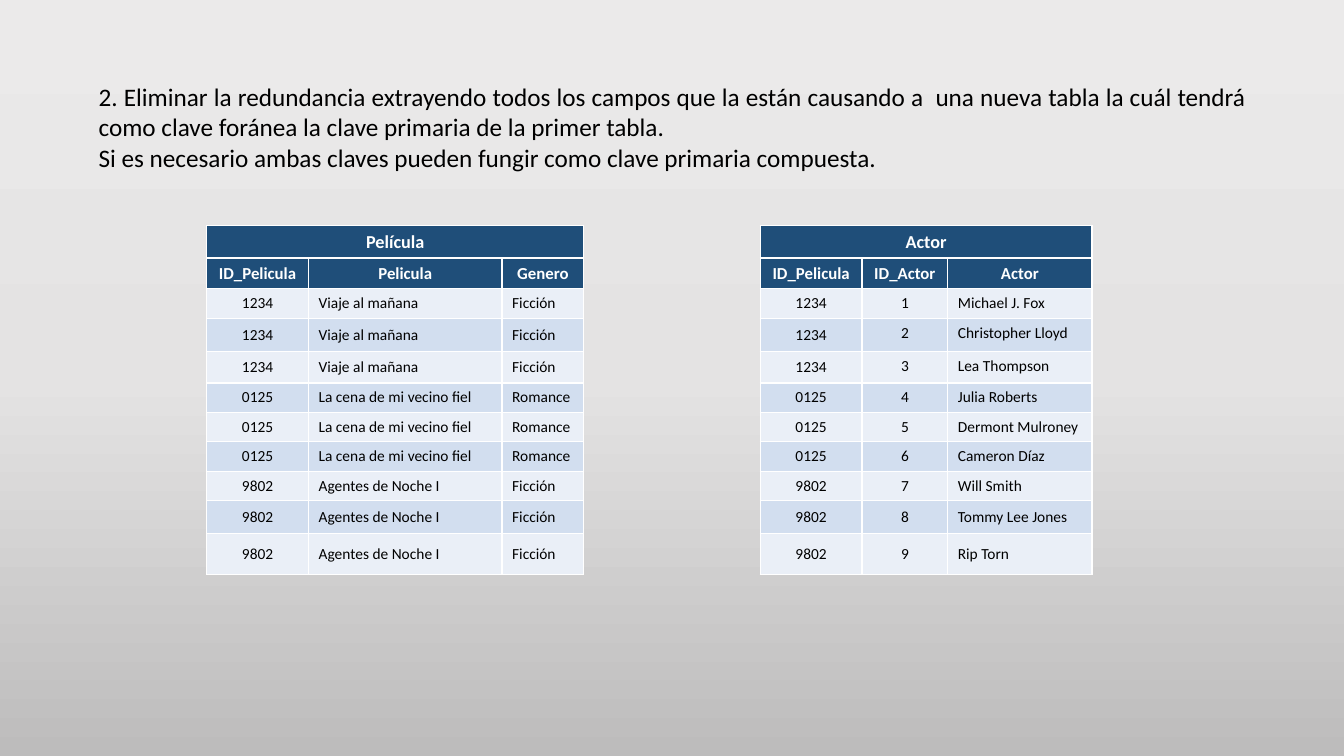
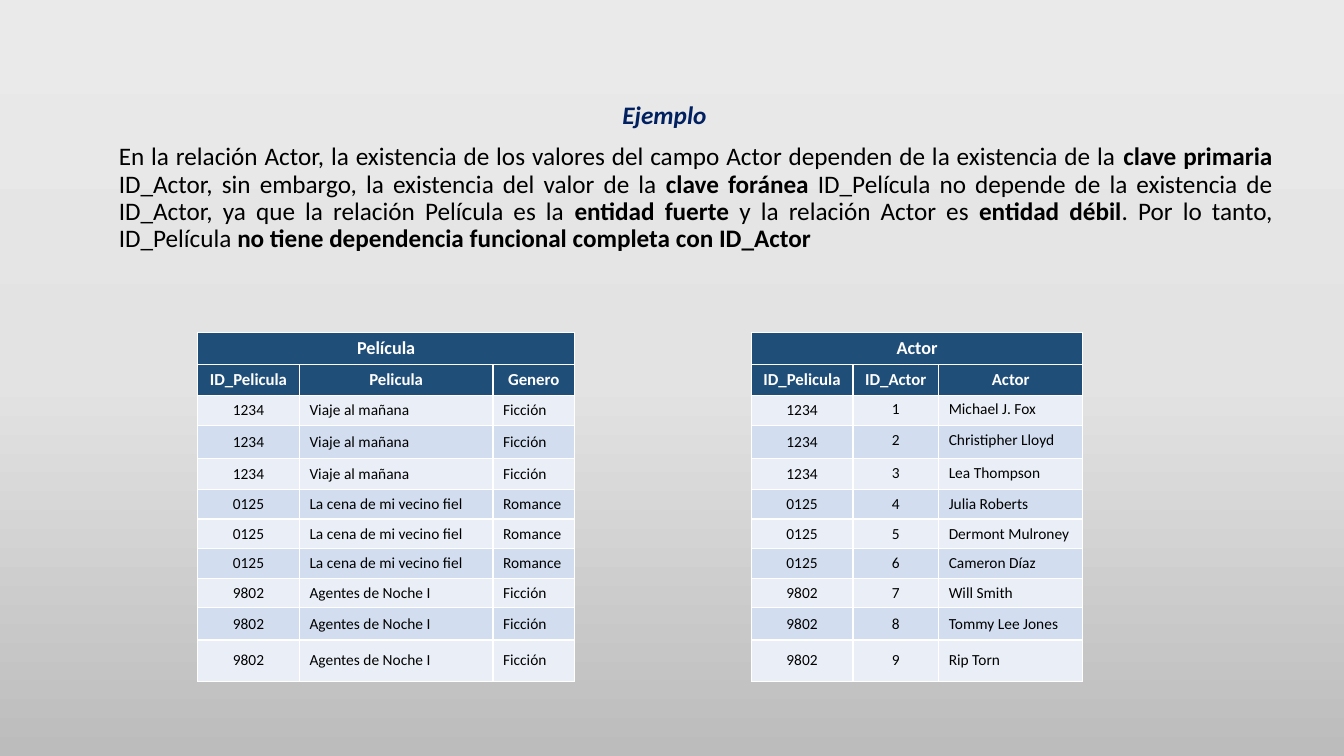
from copy import deepcopy
from dataclasses import dataclass

from lxml import etree
from pptx import Presentation
from pptx.dml.color import RGBColor
from pptx.enum.text import MSO_ANCHOR, MSO_AUTO_SIZE, PP_ALIGN
from pptx.oxml.ns import qn
from pptx.util import Inches, Pt

CENTER, LEFT, JUSTIFY = PP_ALIGN.CENTER, PP_ALIGN.LEFT, PP_ALIGN.JUSTIFY
TOP, MIDDLE = MSO_ANCHOR.TOP, MSO_ANCHOR.MIDDLE
NO_AUTOFIT = MSO_AUTO_SIZE.NONE
TITLE_ONLY, BLANK = 5, 6


@dataclass(frozen=True)
class Theme:
    font: str = "Calibri"
    text: str = "000000"
    title: str = "002060"
    header: str = "1F4E79"
    header_text: str = "FFFFFF"
    border: str = "FFFFFF"
    bands: tuple = ("EAEFF7", "D2DEEF")
    background: tuple = ((0, "EBEAEA"), (0.5, "E4E3E3"), (1, "BDBCBC"))
    body_size: int = 18
    caption_size: int = 13
    header_size: int = 12
    cell_size: int = 11
    border_width: int = 1
    tight_lines: float = 0.9


THEME = Theme()

ROW_HEIGHTS = (0.32, 0.3, 0.3, 0.33, 0.31, 0.29, 0.29, 0.3, 0.29, 0.32, 0.41)
TABLE_STEP = 5.49
MOVIES = (
    ("1234", "Viaje al mañana", "Ficción"),
    ("0125", "La cena de mi vecino fiel", "Romance"),
    ("9802", "Agentes de Noche I", "Ficción"),
)
ACTORS_PER_MOVIE = 3
MOVIE_HEADERS = ("ID_Pelicula", "Pelicula", "Genero")
MOVIE_WIDTHS = (1.01, 1.92, 0.81)
ACTOR_HEADERS = ("ID_Pelicula", "ID_Actor", "Actor")
ACTOR_WIDTHS = (1.01, 0.85, 1.43)
ACTORS = (
    "Michael J. Fox", "Christopher Lloyd", "Lea Thompson",
    "Julia Roberts", "Dermont Mulroney", "Cameron Díaz",
    "Will Smith", "Tommy Lee Jones", "Rip Torn",
)
# The second slide spells this actor differently.
EXAMPLE_ACTORS = (ACTORS[0], "Christipher Lloyd", *ACTORS[2:])

STEP_TEXT = (
    "2. Eliminar la redundancia extrayendo todos los campos que la están causando a  una "
    "nueva tabla la cuál tendrá como clave foránea la clave primaria de la primer tabla.",
    "Si es necesario ambas claves pueden fungir como clave primaria compuesta.",
)
EXAMPLE_RUNS = (
    ("En la relación Actor, la existencia de los valores del campo Actor dependen de la "
     "existencia de la ", False),
    ("clave primaria ", True),
    ("ID_Actor, sin embargo, la existencia del valor de la ", False),
    ("clave foránea ", True),
    ("ID_Película no depende de la existencia de ID_Actor, ya que la relación Película "
     "es la ", False),
    ("entidad fuerte ", True),
    ("y la relación Actor es ", False),
    ("entidad débil", True),
    (". Por lo tanto, ID_Película ", False),
    ("no tiene dependencia funcional completa con ID_Actor", True),
)


def set_background(master):
    fill = master.background.fill
    fill.gradient()
    fill.gradient_angle = 270
    stops = master.element.xpath("p:cSld/p:bg//a:gsLst")[0]
    stops.append(deepcopy(stops[0]))
    for stop, (position, color) in zip(fill.gradient_stops, THEME.background):
        stop.position = position
        stop.color.rgb = RGBColor.from_string(color)


def add_run(paragraph, text, size, color=THEME.text, bold=False, italic=False):
    run = paragraph.add_run()
    run.text = text
    font = run.font
    font.name, font.size = THEME.font, Pt(size)
    font.bold, font.italic = bold, italic
    font.color.rgb = RGBColor.from_string(color)


def add_text(slide, box, paragraphs, line_spacing=1.0):
    """Add justified paragraphs, each a sequence of (text, bold) runs."""
    frame = slide.shapes.add_textbox(*map(Inches, box)).text_frame
    frame.word_wrap = True
    for index, runs in enumerate(paragraphs):
        paragraph = frame.add_paragraph() if index else frame.paragraphs[0]
        paragraph.alignment = JUSTIFY
        paragraph.line_spacing = line_spacing
        for text, bold in runs:
            add_run(paragraph, text, THEME.body_size, bold=bold)


def set_title(slide, box, text):
    title = slide.shapes.title
    title.left, title.top, title.width, title.height = map(Inches, box)
    frame = title.text_frame
    frame.auto_size = NO_AUTOFIT
    frame.vertical_anchor = TOP
    paragraph = frame.paragraphs[0]
    paragraph.alignment = CENTER
    paragraph.line_spacing = THEME.tight_lines
    add_run(paragraph, text, THEME.body_size, THEME.title, bold=True, italic=True)


def style_cell(cell, fill):
    """Fill the cell and draw its four borders."""
    properties = cell._tc.get_or_add_tcPr()
    for side in ("lnL", "lnR", "lnT", "lnB"):
        line = etree.SubElement(properties, qn(f"a:{side}"), w=str(Pt(THEME.border_width)))
        solid = etree.SubElement(line, qn("a:solidFill"))
        etree.SubElement(solid, qn("a:srgbClr"), val=THEME.border)
    cell.fill.solid()
    cell.fill.fore_color.rgb = RGBColor.from_string(fill)


def write_cell(cell, text, size, color=THEME.text, bold=False, align=CENTER, anchor=TOP):
    cell.vertical_anchor = anchor
    paragraph = cell.text_frame.paragraphs[0]
    paragraph.alignment = align
    add_run(paragraph, text, size, color, bold)


def add_relation(slide, left, top, caption, headers, widths, records,
                 centered_columns, top_anchored_records=0):
    """Add a relation; the leading records may anchor all but their key at the top."""
    table = slide.shapes.add_table(
        len(ROW_HEIGHTS), len(widths), Inches(left), Inches(top),
        Inches(sum(widths)), Inches(sum(ROW_HEIGHTS))).table
    for column, width in zip(table.columns, widths):
        column.width = Inches(width)
    for row, height in zip(table.rows, ROW_HEIGHTS):
        row.height = Inches(height)

    for index, header in enumerate(headers):
        style_cell(table.cell(0, index), THEME.header)
        style_cell(table.cell(1, index), THEME.header)
        write_cell(table.cell(1, index), header, THEME.header_size,
                   THEME.header_text, bold=True)
    caption_cell = table.cell(0, 0)
    caption_cell.merge(table.cell(0, len(widths) - 1))
    write_cell(caption_cell, caption, THEME.caption_size, THEME.header_text, bold=True)

    for number, record in enumerate(records):
        for index, value in enumerate(record):
            cell = table.cell(number + 2, index)
            style_cell(cell, THEME.bands[number % 2])
            at_top = index > 0 and number < top_anchored_records
            write_cell(cell, value, THEME.cell_size,
                       align=CENTER if index < centered_columns else LEFT,
                       anchor=TOP if at_top else MIDDLE)


def add_relations(slide, left, top, actors):
    movies = [movie for movie in MOVIES for _ in range(ACTORS_PER_MOVIE)]
    cast = [(movie[0], str(number), actor)
            for number, (movie, actor) in enumerate(zip(movies, actors), start=1)]
    add_relation(slide, left, top, "Película", MOVIE_HEADERS, MOVIE_WIDTHS, movies,
                 centered_columns=1)
    add_relation(slide, left + TABLE_STEP, top, "Actor", ACTOR_HEADERS, ACTOR_WIDTHS, cast,
                 centered_columns=2, top_anchored_records=3)


def build_step_slide(prs):
    slide = prs.slides.add_slide(prs.slide_layouts[BLANK])
    add_text(slide, (0.88, 0.76, 11.58, 1.01), [[(text, False)] for text in STEP_TEXT])
    add_relations(slide, 2.05, 2.24, ACTORS)


def build_example_slide(prs):
    slide = prs.slides.add_slide(prs.slide_layouts[TITLE_ONLY])
    set_title(slide, (5.59, 0.97, 2, 0.4), "Ejemplo")
    add_text(slide, (1.08, 1.38, 11.64, 1.22), [EXAMPLE_RUNS], THEME.tight_lines)
    add_relations(slide, 1.96, 3.3, EXAMPLE_ACTORS)


def main():
    prs = Presentation()
    prs.slide_width, prs.slide_height = Inches(13.33), Inches(7.5)
    set_background(prs.slide_master)
    build_step_slide(prs)
    build_example_slide(prs)
    prs.save("out.pptx")


if __name__ == "__main__":
    main()
